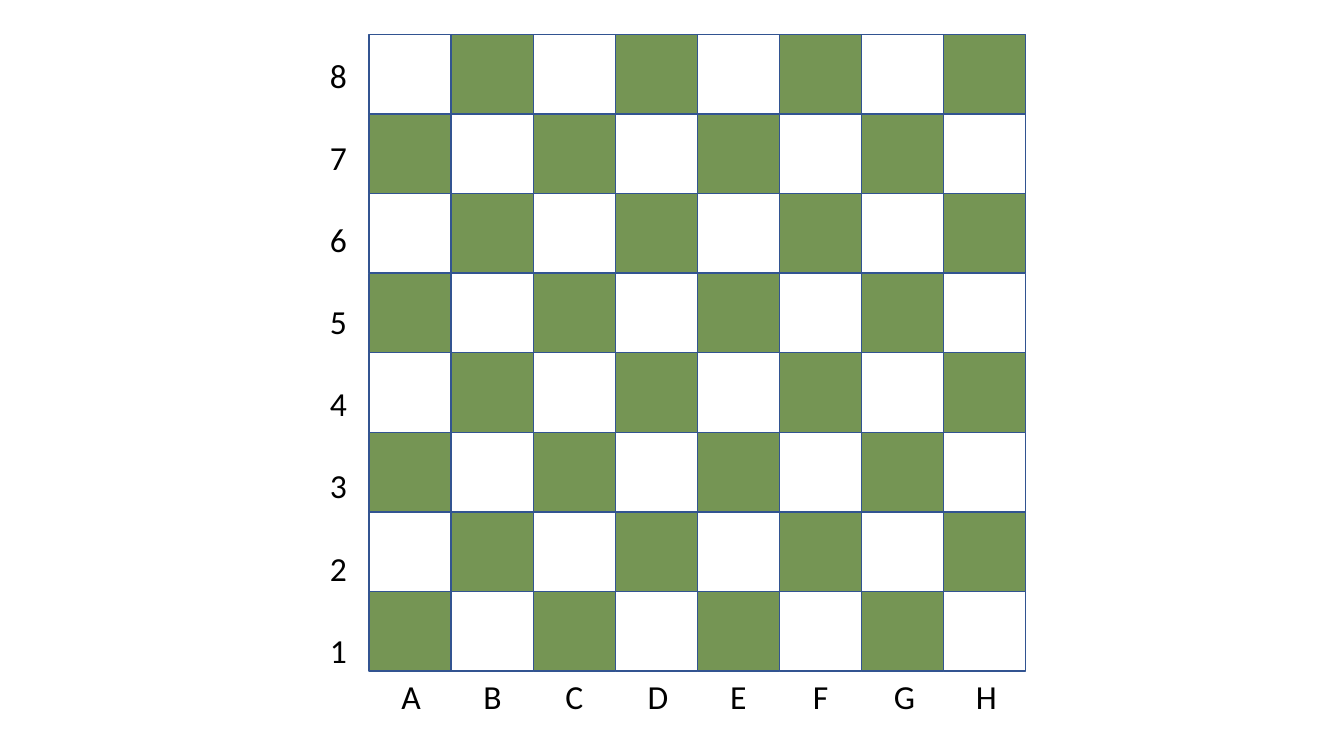
from pptx import Presentation
from pptx.dml.color import RGBColor as RGB
from pptx.enum.shapes import MSO_SHAPE as Shape
from pptx.enum.text import MSO_ANCHOR as Anchor, MSO_AUTO_SIZE as Fit, PP_ALIGN as Align
from pptx.util import Cm, Pt

WHITE = RGB(0xFF, 0xFF, 0xFF)
GREEN = RGB(0x75, 0x95, 0x54)
BLUE = RGB(0x32, 0x54, 0x91)
BLACK = RGB(0x00, 0x00, 0x00)

FILES = "ABCDEFGH"
RANKS = "87654321"
LABEL = (0.94, 1.27)  # width and height of a label, cm
FONT = {"name": "Calibri", "size": Pt(24)}
FRAME = {"word_wrap": False, "auto_size": Fit.SHAPE_TO_FIT_TEXT,
         "vertical_anchor": Anchor.TOP}


def style(item, values):
    for name, value in values.items():
        setattr(item, name, value)


def add_square(slide, box, color):
    square = slide.shapes.add_shape(Shape.RECTANGLE, *map(Cm, box))
    square.shadow.inherit = False
    square.fill.solid()
    square.fill.fore_color.rgb = color
    square.line.color.rgb = BLUE
    square.line.width = Pt(1)


def add_label(slide, left, top, text):
    frame = slide.shapes.add_textbox(*map(Cm, (left, top, *LABEL))).text_frame
    style(frame, FRAME)
    line = frame.paragraphs[0]
    line.alignment = Align.CENTER
    run = line.add_run()
    run.text = text
    style(run.font, FONT)
    run.font.color.rgb = BLACK


def add_board(slide, left, top, wide, high):
    """Lay out the squares within the box, in cm."""
    step_x, step_y = wide / len(FILES), high / len(RANKS)
    for row in range(len(RANKS)):
        for col in range(len(FILES)):
            box = (left + col * step_x, top + row * step_y, step_x, step_y)
            add_square(slide, box, GREEN if (row + col) % 2 else WHITE)


def add_files(slide, left, top, wide, high):
    """Centre each letter under its column of the board."""
    step = wide / len(FILES)
    for col, text in enumerate(FILES):
        add_label(slide, left + (col + 0.5) * step - LABEL[0] / 2, top + high, text)


def add_ranks(slide, left, top):
    """Stack the numbers to the left of the board, a little wider than its rows."""
    for row, text in enumerate(RANKS):
        add_label(slide, left - 1.24, top + 0.38 + row * 2.07, text)


def main():
    deck = Presentation()
    deck.slide_width, deck.slide_height = Cm(33.87), Cm(19.05)
    slide = deck.slides.add_slide(deck.slide_layouts[6])
    board = (9.3, 0.87, 16.55, 16.04)
    add_board(slide, *board)
    add_files(slide, *board)
    add_ranks(slide, *board[:2])
    deck.save("out.pptx")


if __name__ == "__main__":
    main()
